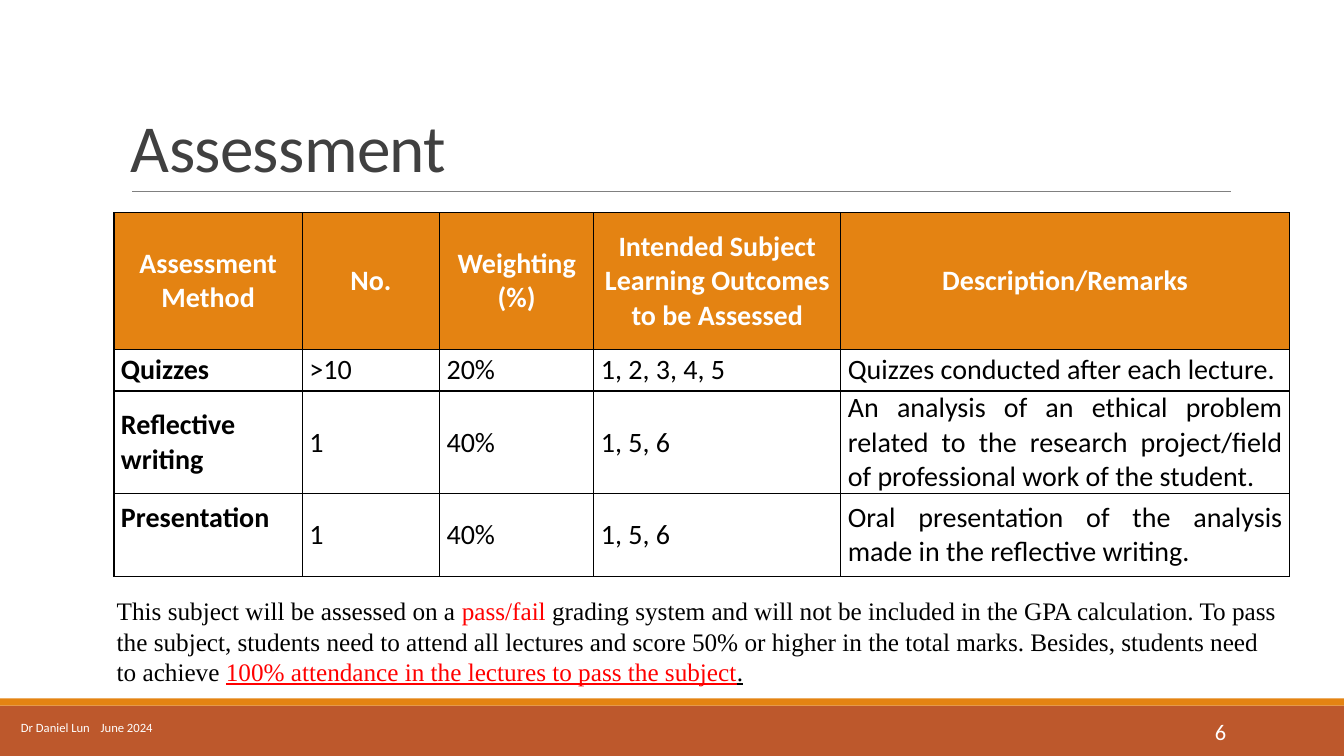
import lxml.etree
import pptx
import pptx.dml.color
import pptx.enum.shapes
import pptx.enum.text
import pptx.oxml.ns
import pptx.util

Inches = pptx.util.Inches
RGBColor = pptx.dml.color.RGBColor
Align = pptx.enum.text.PP_ALIGN
Anchor = pptx.enum.text.MSO_ANCHOR
qn = pptx.oxml.ns.qn

BLACK = RGBColor(0x00, 0x00, 0x00)
WHITE = RGBColor(0xFF, 0xFF, 0xFF)
RED = RGBColor(0xFF, 0x00, 0x00)
ORANGE = RGBColor(0xE4, 0x83, 0x12)
RUST = RGBColor(0xBD, 0x58, 0x2C)
CHARCOAL = RGBColor(0x40, 0x40, 0x40)
GREY = RGBColor(0x80, 0x80, 0x80)

COLUMN_WIDTHS = [1.87, 1.36, 1.53, 2.45, 4.45]
ROW_HEIGHTS = [1.36, 0.41, 1.02, 0.82]
ASSESSMENTS = [
    ["Assessment Method", "No.", "Weighting (%)",
     "Intended Subject Learning Outcomes to be Assessed", "Description/Remarks"],
    ["Quizzes", ">10", "20%", "1, 2, 3, 4, 5", "Quizzes conducted after each lecture."],
    ["Reflective writing", "1", "40%", "1, 5, 6",
     "An analysis of an ethical problem related to the research project/field "
     "of professional work of the student."],
    ["Presentation", "1", "40%", "1, 5, 6",
     "Oral presentation of the analysis made in the reflective writing."],
]
GRADING_NOTE = [
    ("This subject will be assessed on a ", BLACK, False),
    ("pass/fail", RED, False),
    (" grading system and will not be included in the GPA calculation. To pass the subject, "
     "students need to attend all lectures and score 50% or higher in the total marks. "
     "Besides, students need to achieve ", BLACK, False),
    ("100% attendance in the lectures to pass the subject", RED, True),
    (".", BLACK, True),
]


def add_run(paragraph, text, size, color, font="Calibri", bold=False, underline=False):
    run = paragraph.add_run()
    run.text = text
    run.font.name = font
    run.font.size = pptx.util.Pt(size)
    run.font.color.rgb = color
    run.font.bold = bold
    run.font.underline = underline
    return run


def add_text_box(slide, left, top, width, height, anchor=Anchor.MIDDLE):
    text_box = slide.shapes.add_textbox(Inches(left), Inches(top), Inches(width), Inches(height))
    text_box.text_frame.word_wrap = True
    text_box.text_frame.vertical_anchor = anchor
    return text_box.text_frame.paragraphs[0]


def add_band(slide, top, height, color):
    band = slide.shapes.add_shape(
        pptx.enum.shapes.MSO_SHAPE.RECTANGLE, 0, Inches(top), Inches(13.33), Inches(height))
    band.shadow.inherit = False
    band.fill.solid()
    band.fill.fore_color.rgb = color
    band.line.fill.background()


def add_title(slide, text):
    paragraph = add_text_box(slide, 1.2, 0.31, 10.73, 1.59, Anchor.BOTTOM)
    paragraph.line_spacing = 0.85
    run = add_run(paragraph, text, 48, CHARCOAL)
    run.font._element.set("spc", "-50")

    rule = slide.shapes.add_connector(
        pptx.enum.shapes.MSO_CONNECTOR.STRAIGHT,
        Inches(1.31), Inches(1.9), Inches(12.21), Inches(1.9))
    rule.line.color.rgb = GREY
    rule.line.width = pptx.util.Pt(0.5)
    lxml.etree.SubElement(rule._element.spPr, qn("a:effectLst"))


def add_borders(cell):
    properties = cell._tc.get_or_add_tcPr()
    for side in ("a:lnL", "a:lnR", "a:lnT", "a:lnB"):
        border = lxml.etree.SubElement(properties, qn(side), w=str(pptx.util.Pt(1)))
        fill = lxml.etree.SubElement(border, qn("a:solidFill"))
        lxml.etree.SubElement(fill, qn("a:srgbClr"), val=str(BLACK))


def fill_cell(cell, text, is_header, is_method):
    cell.margin_left = cell.margin_right = Inches(0.07)
    cell.margin_top = cell.margin_bottom = 0
    cell.vertical_anchor = Anchor.MIDDLE
    add_borders(cell)
    if is_header:
        cell.fill.solid()
        cell.fill.fore_color.rgb = ORANGE
    else:
        cell.fill.background()
    paragraph = cell.text_frame.paragraphs[0]
    paragraph.alignment = Align.CENTER if is_header else Align.JUSTIFY
    add_run(paragraph, text, 20, WHITE if is_header else BLACK, bold=is_header or is_method)


def add_assessment_table(slide):
    table = slide.shapes.add_table(
        len(ROW_HEIGHTS), len(COLUMN_WIDTHS), Inches(1.13), Inches(2.11),
        Inches(sum(COLUMN_WIDTHS)), Inches(sum(ROW_HEIGHTS))).table
    table.first_row = False
    table.horz_banding = False
    for column, width in zip(table.columns, COLUMN_WIDTHS):
        column.width = Inches(width)
    for row, height in zip(table.rows, ROW_HEIGHTS):
        row.height = Inches(height)
    for row_index, texts in enumerate(ASSESSMENTS):
        for column_index, text in enumerate(texts):
            fill_cell(table.cell(row_index, column_index), text, row_index == 0, column_index == 0)
    presentation_cell = table.cell(3, 0)
    presentation_cell.vertical_anchor = Anchor.TOP
    presentation_cell.margin_top = Inches(0.07)


def add_grading_note(slide):
    paragraph = add_text_box(slide, 1.06, 5.86, 11.73, 1.01, Anchor.TOP)
    for text, color, underline in GRADING_NOTE:
        add_run(paragraph, text, 18, color, "Times New Roman", underline=underline)


def add_footer(slide, author, date, number):
    paragraph = add_text_box(slide, 10.83, 7.06, 1.43, 0.4)
    paragraph.alignment = Align.RIGHT
    add_run(paragraph, number, 16, WHITE)

    paragraph = add_text_box(slide, 0.11, 7.02, 2.7, 0.4)
    tabs = lxml.etree.SubElement(paragraph._p.get_or_add_pPr(), qn("a:tabLst"))
    lxml.etree.SubElement(tabs, qn("a:tab"), pos=str(Inches(0.79)), algn="l")
    add_run(paragraph, f"{author}\t{date}", 9, WHITE)


def main():
    presentation = pptx.Presentation()
    presentation.slide_width = Inches(13.33)
    presentation.slide_height = Inches(7.5)
    slide = presentation.slides.add_slide(presentation.slide_layouts[6])
    add_band(slide, 7, 0.5, RUST)
    add_band(slide, 6.93, 0.07, ORANGE)
    add_title(slide, "Assessment")
    add_assessment_table(slide)
    add_grading_note(slide)
    add_footer(slide, "Dr Daniel Lun", "June 2024", "6")
    presentation.save("out.pptx")


if __name__ == "__main__":
    main()
